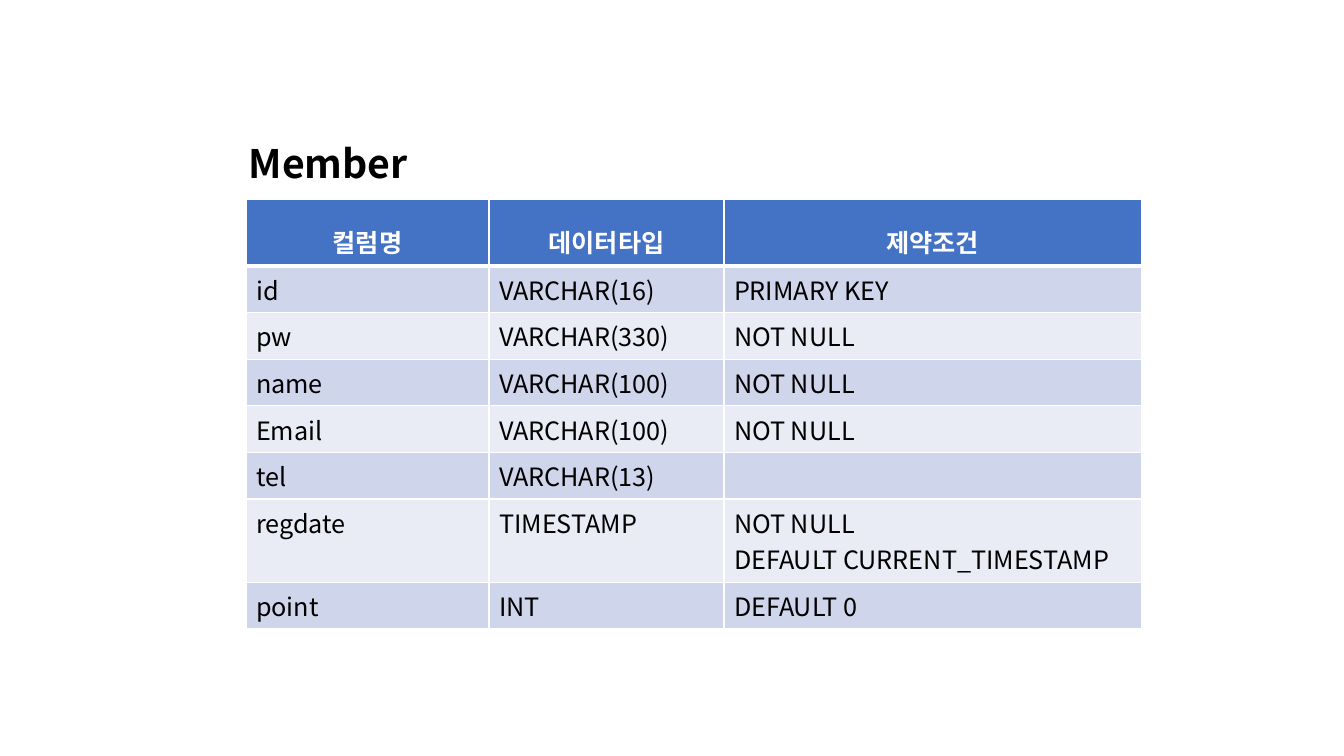
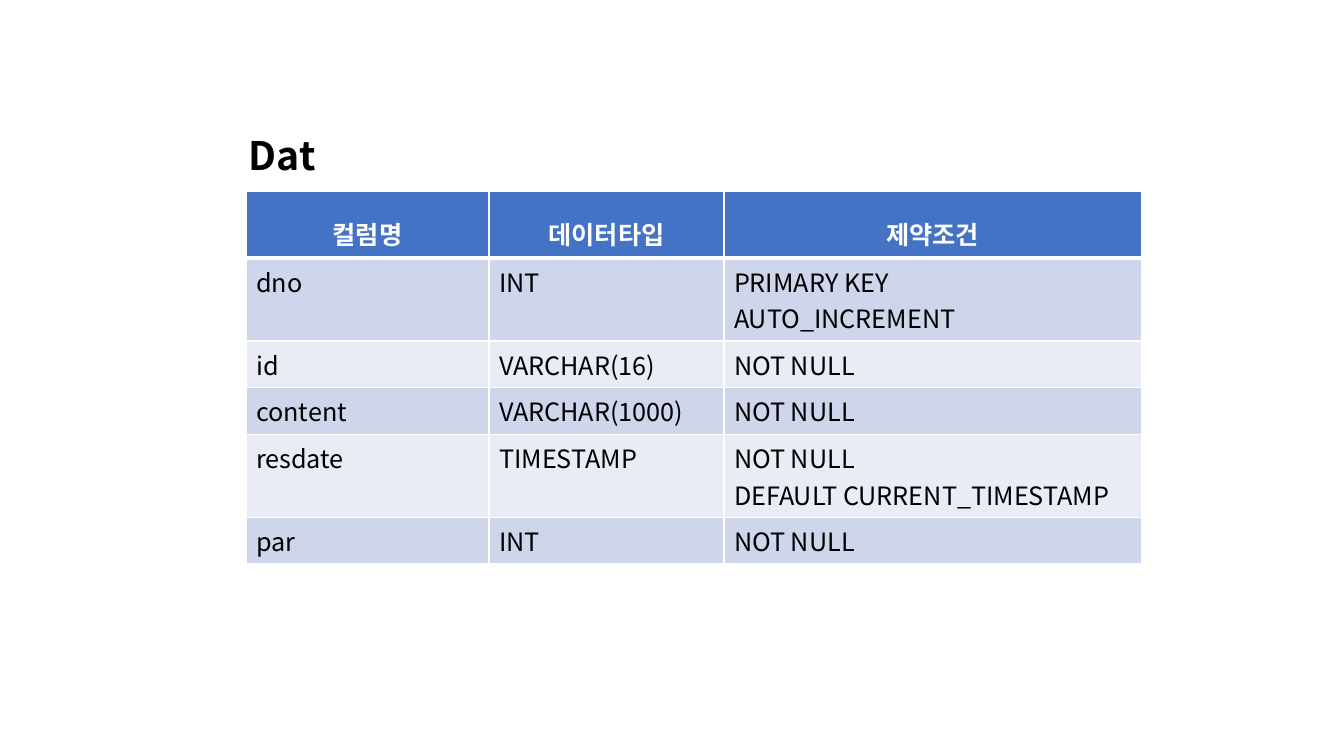
from dataclasses import dataclass
from typing import Any

from lxml.etree import SubElement
from pptx import Presentation
from pptx.dml.color import RGBColor
from pptx.enum.text import MSO_AUTO_SIZE, PP_ALIGN
from pptx.oxml.ns import qn
from pptx.slide import Slide
from pptx.util import Inches, Pt

FONT = "Noto Sans CJK KR"
COLORS = {
    "header": "4472C4",
    "odd_row": "CFD5EA",
    "even_row": "E9EBF5",
    "white": "FFFFFF",
    "black": "000000",
}
TITLE_FONT = {"name": FONT, "size": Pt(28), "bold": True}
HEADER_FONT = {"name": FONT, "size": Pt(18), "bold": True}
BODY_FONT = {"name": FONT, "size": Pt(18), "bold": False}
HEADER_PARAGRAPH = {"alignment": PP_ALIGN.CENTER, "line_spacing": 1.5}
BODY_PARAGRAPH = {"alignment": PP_ALIGN.LEFT}
TITLE_FRAME = {"word_wrap": True, "auto_size": MSO_AUTO_SIZE.NONE}

HEADINGS = ("컬럼명", "데이터타입", "제약조건")
COLUMN_WIDTHS = (2.41, 2.33, 4.14)
HEADER_HEIGHT = 0.66
ROW_HEIGHTS = {1: 0.46, 2: 0.82}
SCHEMA_LEFT = 2.44
TITLE_LEFT = 2.37
TITLE_WIDTH = 2
TITLE_HEIGHT = 0.57
TITLE_RISE = 0.65
THIN, THICK = 1, 3


@dataclass(frozen=True)
class Column:
    name: str
    data_type: str
    constraints: str = ""

    @property
    def height(self) -> float:
        return ROW_HEIGHTS[len(self.constraints.split("\n"))]


@dataclass(frozen=True)
class Schema:
    title: str
    top: float
    columns: tuple[Column, ...]


SCHEMAS = (
    Schema("Member", 1.98, (
        Column("id", "VARCHAR(16)", "PRIMARY KEY"),
        Column("pw", "VARCHAR(330)", "NOT NULL"),
        Column("name", "VARCHAR(100)", "NOT NULL"),
        Column("Email", "VARCHAR(100)", "NOT NULL"),
        Column("tel", "VARCHAR(13)"),
        Column("regdate", "TIMESTAMP", "NOT NULL\nDEFAULT CURRENT_TIMESTAMP"),
        Column("point", "INT", "DEFAULT 0"),
    )),
    Schema("Dat", 1.9, (
        Column("dno", "INT", "PRIMARY KEY\nAUTO_INCREMENT"),
        Column("id", "VARCHAR(16)", "NOT NULL"),
        Column("content", "VARCHAR(1000)", "NOT NULL"),
        Column("resdate", "TIMESTAMP", "NOT NULL\nDEFAULT CURRENT_TIMESTAMP"),
        Column("par", "INT", "NOT NULL"),
    )),
)


def apply_format(target: Any, values: dict[str, Any]) -> None:
    for attribute, value in values.items():
        setattr(target, attribute, value)


def write_text(frame: Any, text: str, font: dict[str, Any], color: str,
               paragraph_format: dict[str, Any]) -> None:
    frame.text = text
    for paragraph in frame.paragraphs:
        apply_format(paragraph, paragraph_format)
        for run in paragraph.runs:
            apply_format(run.font, font)
            run.font.color.rgb = RGBColor.from_string(COLORS[color])
            SubElement(run._r.get_or_add_rPr(), qn("a:ea"), typeface=FONT)


def draw_borders(cell: Any, top: int, bottom: int) -> None:
    properties = cell._tc.get_or_add_tcPr()
    widths = {"a:lnL": THIN, "a:lnR": THIN, "a:lnT": top, "a:lnB": bottom}
    for position, (side, width) in enumerate(widths.items()):
        border = SubElement(properties, qn(side), w=str(Pt(width)))
        fill = SubElement(border, qn("a:solidFill"))
        SubElement(fill, qn("a:srgbClr"), val=COLORS["white"])
        properties.insert(position, border)


def fill_row(table: Any, index: int, texts: tuple[str, ...], height: float) -> None:
    table.rows[index].height = Inches(height)
    is_header = index == 0
    band = "header" if is_header else "odd_row" if index % 2 else "even_row"
    font = HEADER_FONT if is_header else BODY_FONT
    paragraph_format = HEADER_PARAGRAPH if is_header else BODY_PARAGRAPH
    for cell, text in zip(table.rows[index].cells, texts):
        cell.fill.solid()
        cell.fill.fore_color.rgb = RGBColor.from_string(COLORS[band])
        draw_borders(cell, THICK if index == 1 else THIN, THICK if is_header else THIN)
        write_text(cell.text_frame, text, font,
                   "white" if is_header else "black", paragraph_format)


def draw_schema(slide: Slide, schema: Schema) -> None:
    height = HEADER_HEIGHT + sum(column.height for column in schema.columns)
    table = slide.shapes.add_table(
        len(schema.columns) + 1, len(HEADINGS), Inches(SCHEMA_LEFT),
        Inches(schema.top), Inches(sum(COLUMN_WIDTHS)), Inches(height)).table
    for table_column, width in zip(table.columns, COLUMN_WIDTHS):
        table_column.width = Inches(width)
    fill_row(table, 0, HEADINGS, HEADER_HEIGHT)
    for index, column in enumerate(schema.columns, start=1):
        fill_row(table, index, (column.name, column.data_type, column.constraints),
                 column.height)


def draw_title(slide: Slide, schema: Schema) -> None:
    title = slide.shapes.add_textbox(
        Inches(TITLE_LEFT), Inches(schema.top - TITLE_RISE),
        Inches(TITLE_WIDTH), Inches(TITLE_HEIGHT))
    apply_format(title.text_frame, TITLE_FRAME)
    write_text(title.text_frame, schema.title, TITLE_FONT, "black", BODY_PARAGRAPH)


def main() -> None:
    presentation = Presentation()
    apply_format(presentation, {"slide_width": Inches(13.33), "slide_height": Inches(7.5)})
    blank = presentation.slide_layouts[6]
    for schema in SCHEMAS:
        slide = presentation.slides.add_slide(blank)
        draw_schema(slide, schema)
        draw_title(slide, schema)
    presentation.save("out.pptx")


if __name__ == "__main__":
    main()
